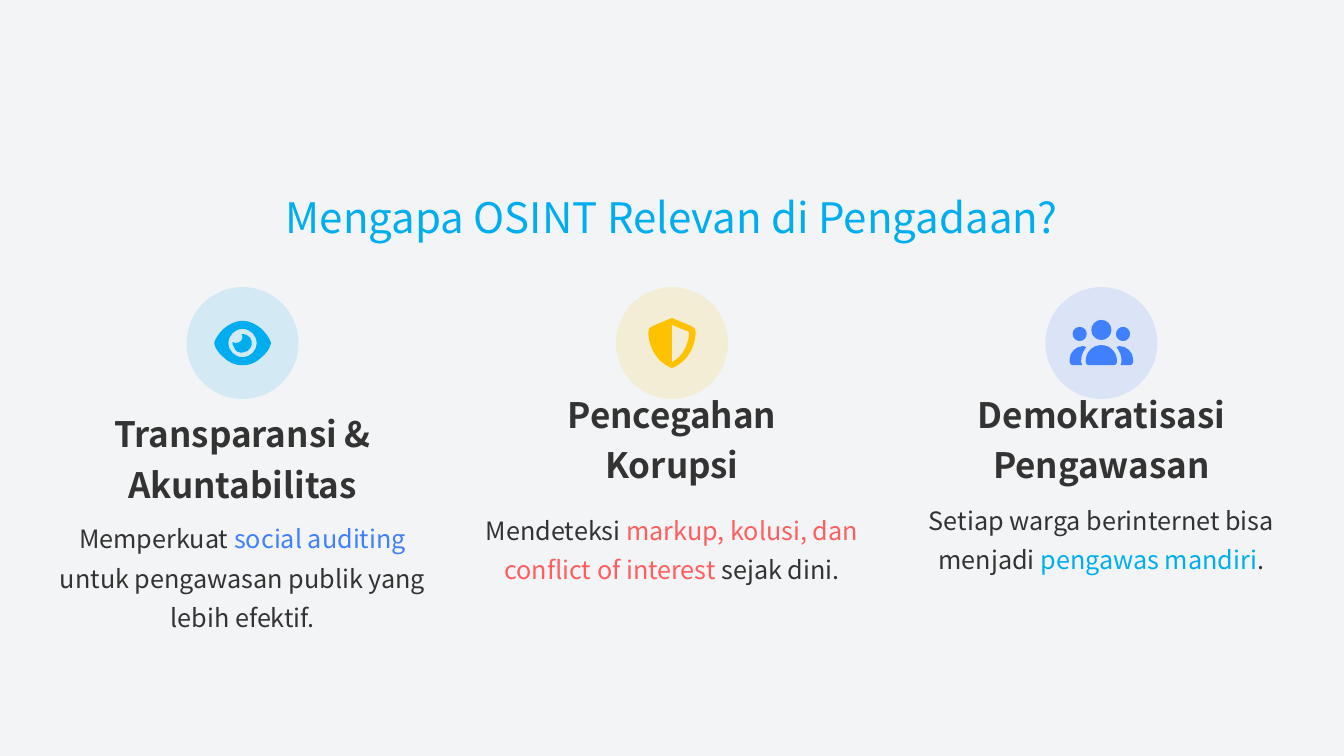
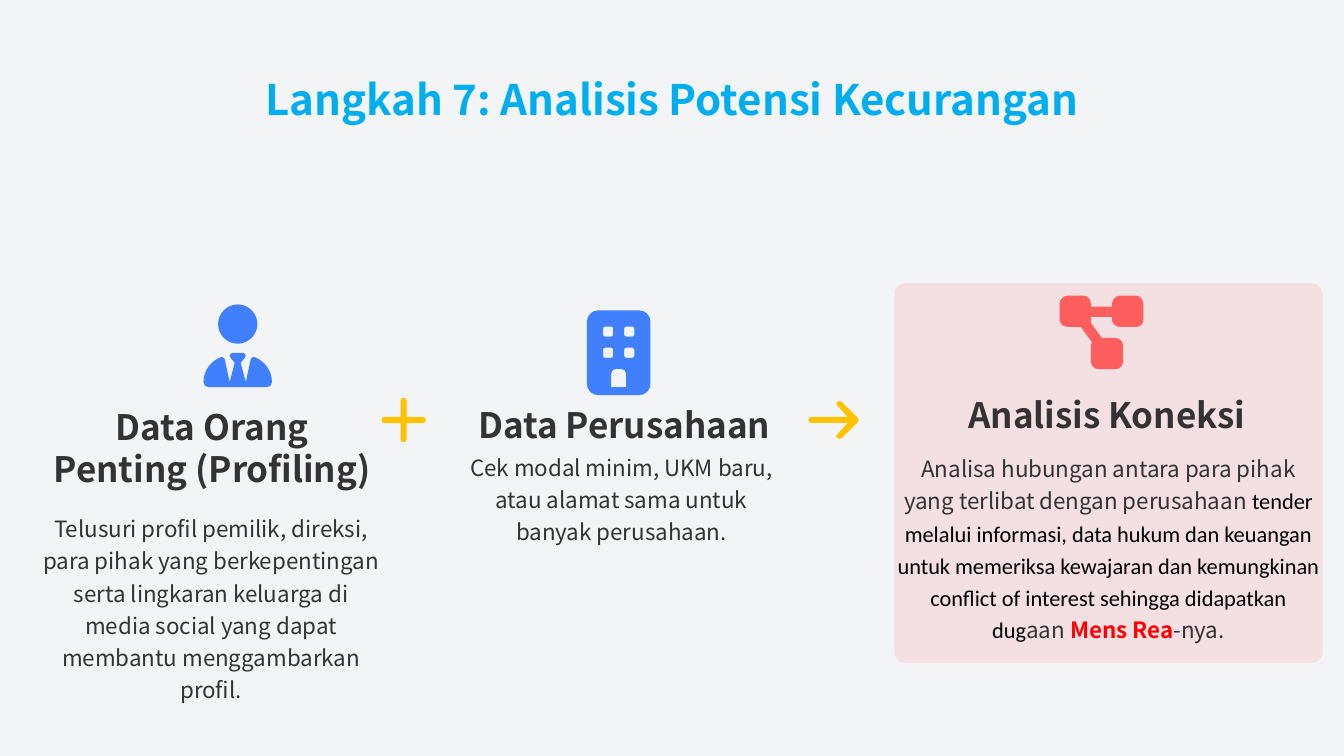
from dataclasses import dataclass

from pptx import Presentation
from pptx.dml.color import RGBColor
from pptx.enum.shapes import MSO_SHAPE as Preset
from pptx.enum.text import MSO_ANCHOR as Anchor, PP_ALIGN as Align
from pptx.oxml.ns import qn
from pptx.oxml.xmlchemy import OxmlElement
from pptx.util import Inches, Pt


@dataclass(frozen=True)
class Theme:
    paper: str = "F3F4F6"
    ink: str = "333333"
    black: str = "000000"
    cyan: str = "00AEEF"
    yellow: str = "FFC200"
    blue: str = "4080FF"
    coral: str = "FF5E5E"
    red: str = "FF0000"
    font: str = "Noto Sans CJK SC"
    plain_font: str = "Calibri"
    title: int = 30
    heading: int = 25
    body: int = 18
    small: int = 16
    tint: int = 13  # opacity of pale shapes, percent


THEME = Theme()
COLUMNS, ROWS = 160, 90
CELL = Inches(1) / 12
ICON_UNIT = 0.12  # cells per icon unit


def cells(*counts):
    return [round(count * CELL) for count in counts]


# An outline is a start point, then steps: 2 numbers for a line, 6 for a Bezier curve.
def rounded(x, y, width, height, top, bottom=None):
    """Rectangle outline with one radius for the top corners and one for the bottom."""
    bottom = top if bottom is None else bottom
    right, base = x + width, y + height
    pull_top, pull_bottom = 0.45 * top, 0.45 * bottom
    return [(x + top, y), (right - top, y),
            (right - pull_top, y, right, y + pull_top, right, y + top),
            (right, base - bottom),
            (right, base - pull_bottom, right - pull_bottom, base, right - bottom, base),
            (x + bottom, base),
            (x + pull_bottom, base, x, base - pull_bottom, x, base - bottom),
            (x, y + top),
            (x, y + pull_top, x + pull_top, y, x + top, y)]


def disc(x, y, radius):
    return rounded(x - radius, y - radius, 2 * radius, 2 * radius, radius)


def mirrored(outline):
    return [tuple(-v if n % 2 == 0 else v for n, v in enumerate(step)) for step in outline]


EYE = [
    [(0, -22), (-8, -22, -14, -18, -19, -14), (-24, -9, -27, -4, -28, -1),
     (-28, 0, -28, 1, -28, 1), (-27, 5, -24, 10, -19, 14), (-14, 19, -8, 22, 0, 22),
     (8, 22, 14, 19, 19, 14), (24, 10, 27, 5, 28, 1), (28, 1, 28, 0, 28, -1),
     (27, -4, 24, -9, 19, -14), (14, -18, 8, -22, 0, -22)],
    disc(0, 0, 14),
    [(0, -6), (0, -3, -3, 0, -7, 0), (-8, 0, -9, 0, -10, -1), (-10, 1, -10, 2, -9, 3),
     (-8, 8, -3, 11, 2, 9), (7, 8, 10, 3, 9, -2), (8, -7, 3, -9, -1, -9),
     (-1, -8, 0, -7, 0, -6)],
]
SHIELD = [
    [(0, -25), (0, -25, 1, -25, 1, -24.5), (19, -17), (22, -16, 23.5, -14, 23.5, -11),
     (23.5, -1, 19, 16, 2, 24), (1, 25, -1, 25, -2, 24), (-19, 16, -23.5, -1, -23.5, -11),
     (-23.5, -14, -22, -16, -19, -17), (-1, -24.5), (-1, -25, 0, -25, 0, -25)],
    [(0, -18), (0, 19), (13, 12, 17, -2, 17, -11)],
]
SHOULDER = [(-31.5, 16), (-31.5, 9, -25, 3, -18, 3), (-17, 3, -16, 4, -15, 4),
            (-18, 8, -20, 12, -20, 17), (-20, 19), (-20, 20, -20, 21, -19, 22),
            (-28, 22), (-30, 22, -31.5, 21, -31.5, 19)]
PEOPLE = [disc(0, -13, 10), disc(-21.5, -9, 7), disc(21.5, -9, 7),
          rounded(-15.5, 2, 31, 20, 15.5, 3), SHOULDER, mirrored(SHOULDER)]
PERSON = [
    disc(0, 19.5, 19.5),
    [(-5, 48), (5, 48), (6, 48, 8, 49, 8, 51), (8, 51, 7, 52, 7, 53), (3, 58), (8, 77),
     (13, 54), (14, 53, 15, 52, 16, 52), (27, 56, 34, 66, 34, 77), (34, 80, 32, 82, 29, 82),
     (-29, 82), (-32, 82, -34, 80, -34, 77), (-34, 66, -27, 56, -16, 52),
     (-15, 52, -14, 53, -13, 54), (-8, 77), (-3, 58), (-7, 53), (-7, 52, -8, 51, -8, 51),
     (-8, 49, -6, 48, -5, 48)],
]
BUILDING = [rounded(-31, -42, 63, 84, 11), rounded(-7, 16, 15, 18, 5, 0),
            *(rounded(x, y, 10, 10, 2) for x in (-15, 6) for y in (-26, -5))]
PLUS = [[
    (3, -19), (3, -21, 1, -22, 0, -22), (-2, -22, -3, -21, -3, -19), (-3, -3), (-19, -3),
    (-21, -3, -22, -2, -22, 0), (-22, 2, -21, 3, -19, 3), (-3, 3), (-3, 19),
    (-3, 21, -2, 22, 0, 22), (1, 22, 3, 21, 3, 19), (3, 3), (19, 3), (21, 3, 22, 2, 22, 0),
    (22, -2, 21, -3, 19, -3), (3, -3),
]]
ARROW = [[
    (49, 2), (50, 1, 50, -1, 49, -2), (33, -18), (32, -19, 30, -19, 29, -18),
    (27, -17, 27, -15, 29, -14), (39, -3), (3, -3), (1, -3, 0, -2, 0, 0), (0, 2, 1, 3, 3, 3),
    (39, 3), (29, 14), (27, 15, 27, 17, 29, 18), (30, 19, 32, 19, 33, 18),
]]
NODES = [[
    (0, 8), (0, 4, 4, 0, 8, 0), (24, 0), (28, 0, 31, 4, 31, 8), (31, 11), (52, 11), (52, 8),
    (52, 4, 56, 0, 60, 0), (76, 0), (80, 0, 83, 4, 83, 8), (83, 24), (83, 28, 80, 31, 76, 31),
    (60, 31), (56, 31, 52, 28, 52, 24), (52, 21), (31, 21), (31, 24), (31, 25, 31, 26, 31, 27),
    (42, 42), (55, 42), (59, 42, 63, 45, 63, 50), (63, 65), (63, 70, 59, 73, 55, 73), (39, 73),
    (35, 73, 31, 70, 31, 65), (31, 50), (31, 49, 32, 47, 32, 46), (21, 31), (8, 31),
    (4, 31, 0, 28, 0, 24),
]]


class Deck:
    def __init__(self, theme):
        self.theme = theme
        self.file = Presentation()
        self.file.slide_width, self.file.slide_height = cells(COLUMNS, ROWS)
        self.page = None

    def new_page(self):
        self.page = self.file.slides.add_slide(self.file.slide_layouts[6])
        fill = self.page.background.fill
        fill.solid()
        fill.fore_color.rgb = RGBColor.from_string(self.theme.paper)

    def paint(self, shape, color, opacity=100):
        shape.shadow.inherit = False
        shape.line.fill.background()
        shape.fill.solid()
        shape.fill.fore_color.rgb = RGBColor.from_string(color)
        if opacity < 100:
            alpha = OxmlElement("a:alpha")
            alpha.set("val", str(opacity * 1000))
            shape.element.spPr.find(qn("a:solidFill"))[0].append(alpha)

    def panel(self, preset, area, color, corner=None):
        shape = self.page.shapes.add_shape(preset, *cells(*area))
        if corner is not None:
            shape.adjustments[0] = corner
        self.paint(shape, color, self.theme.tint)

    def icon(self, outlines, column, row, color):
        """Fill all outlines as one shape; an outline inside another is a hole."""
        def place(x, y):
            return cells(column + x * ICON_UNIT, row + y * ICON_UNIT)

        builder = self.page.shapes.build_freeform(*place(*outlines[0][0]))
        for index, (start, *steps) in enumerate(outlines):
            if index:
                builder.move_to(*place(*start))
            builder.add_line_segments([place(*step[-2:]) for step in steps], close=True)
        shape = builder.convert_to_shape()
        segments = list(shape.element.iter(qn("a:lnTo")))
        steps = [step for outline in outlines for step in outline[1:]]
        for segment, step in zip(segments, steps):
            if len(step) == 6:
                self.bend(shape, segment, [place(*step[n:n + 2]) for n in (0, 2, 4)])
        self.paint(shape, color)

    @staticmethod
    def bend(shape, segment, points):
        """Turn a line segment of a freeform into a Bezier curve."""
        curve = OxmlElement("a:cubicBezTo")
        for x, y in points:
            point = OxmlElement("a:pt")
            point.set("x", str(x - shape.left))
            point.set("y", str(y - shape.top))
            curve.append(point)
        segment.getparent().replace(segment, curve)

    def text(self, area, spans, size, spacing=None, anchor=Anchor.MIDDLE, **style):
        """Centred paragraph; a span is a string or a (string, format values) pair."""
        frame = self.page.shapes.add_textbox(*cells(*area)).text_frame
        layout = dict(word_wrap=True, vertical_anchor=anchor, margin_left=0,
                      margin_right=0, margin_top=0, margin_bottom=0)
        for name, value in layout.items():
            setattr(frame, name, value)
        para = frame.paragraphs[0]
        para.alignment = Align.CENTER
        if spacing:
            para.line_spacing = spacing
        base = dict(name=self.theme.font, size=Pt(size), bold=False, color=self.theme.ink)
        for span in [spans] if isinstance(spans, str) else spans:
            words, changes = (span, {}) if isinstance(span, str) else span
            run = para.add_run()
            run.text = words
            values = {**base, **style, **changes}
            run.font.color.rgb = RGBColor.from_string(values.pop("color"))
            for name, value in values.items():
                setattr(run.font, name, value)

    def title(self, words, row, bold=False):
        self.text((0, row, COLUMNS, 6), words, self.theme.title,
                  color=self.theme.cyan, bold=bold)

    def heading(self, area, words, **options):
        self.text(area, words, self.theme.heading, bold=True, **options)


def relevance_page(deck):
    theme = deck.theme
    deck.new_page()
    deck.title("Mengapa OSINT Relevan di Pengadaan?", 22.8)
    reasons = [
        (EYE, theme.cyan, "Transparansi & Akuntabilitas", 45.84, 9.36, 64.8,
         ["Memperkuat ", ("social auditing", dict(color=theme.blue)),
          " untuk pengawasan publik yang lebih efektif."]),
        (SHIELD, theme.yellow, "Pencegahan Korupsi", 39.36, 4.75, 61.44,
         ["Mendeteksi ", ("markup, kolusi, dan conflict of interest", dict(color=theme.coral)),
          " sejak dini."]),
        (PEOPLE, theme.blue, "Demokratisasi Pengawasan", 50.28, 4.75, 60.28,
         ["Setiap warga berinternet bisa menjadi ",
          ("pengawas mandiri", dict(color=theme.cyan)), "."]),
    ]
    pitch, badge, body_width, icon_row = 51.12, 13.33, 45.84, 40.84
    for index, (icon, color, name, width, height, body_row, spans) in enumerate(reasons):
        middle = COLUMNS / 2 + (index - 1) * pitch
        deck.panel(Preset.OVAL, (middle - badge / 2, icon_row - badge / 2, badge, badge), color)
        deck.icon(icon, middle, icon_row, color)
        deck.heading((middle - width / 2, 49.45, width, height), name, spacing=1.2)
        deck.text((middle - body_width / 2, body_row, body_width, 6.96), spans,
                  theme.body, spacing=1.3)


def analysis_page(deck):
    theme = deck.theme
    deck.new_page()
    deck.panel(Preset.ROUNDED_RECTANGLE, (106.46, 33.7, 51, 45.24), theme.coral, corner=0.03)
    deck.title("Langkah 7: Analisis Potensi Kecurangan", 8.8, bold=True)

    deck.icon(PERSON, 28.3, 36.24, theme.blue)
    deck.heading((6.12, 48.28, 38.28, 14.28), "Data Orang Penting (Profiling)",
                 anchor=Anchor.TOP)
    deck.text((4.85, 60.72, 40.56, 18.72),
              "Telusuri profil pemilik, direksi, para pihak yang berkepentingan serta lingkaran "
              "keluarga di media social yang dapat membantu menggambarkan profil.",
              theme.small, spacing=1.2, anchor=Anchor.TOP)
    deck.icon(PLUS, 48.06, 50, theme.yellow)

    deck.icon(BUILDING, 73.6, 42, theme.blue)
    deck.heading((56.76, 47.8, 35.16, 4), "Data Perusahaan", spacing=1.3)
    deck.text((54.84, 54.16, 38.28, 10),
              "Cek modal minim, UKM baru, atau alamat sama untuk banyak perusahaan.",
              theme.small, spacing=1.2)
    deck.icon(ARROW, 96.24, 50, theme.yellow)

    deck.icon(NODES, 126.15, 35.2, theme.coral)
    deck.heading((108.26, 46.6, 47.04, 4), "Analisis Koneksi", spacing=1.3)
    deck.text((106.46, 60.08, 51, 10), [
        "Analisa hubungan antara para pihak yang terlibat dengan perusahaan ",
        ("tender melalui informasi, data hukum dan keuangan untuk memeriksa kewajaran dan "
         "kemungkinan conflict of interest sehingga didapatkan dug",
         dict(name=theme.plain_font, color=theme.black)),
        "aan ",
        ("Mens Rea", dict(color=theme.red, bold=True)),
        "-nya.",
    ], theme.small, spacing=1.2)


def main():
    deck = Deck(THEME)
    relevance_page(deck)
    analysis_page(deck)
    deck.file.save("out.pptx")


if __name__ == "__main__":
    main()
